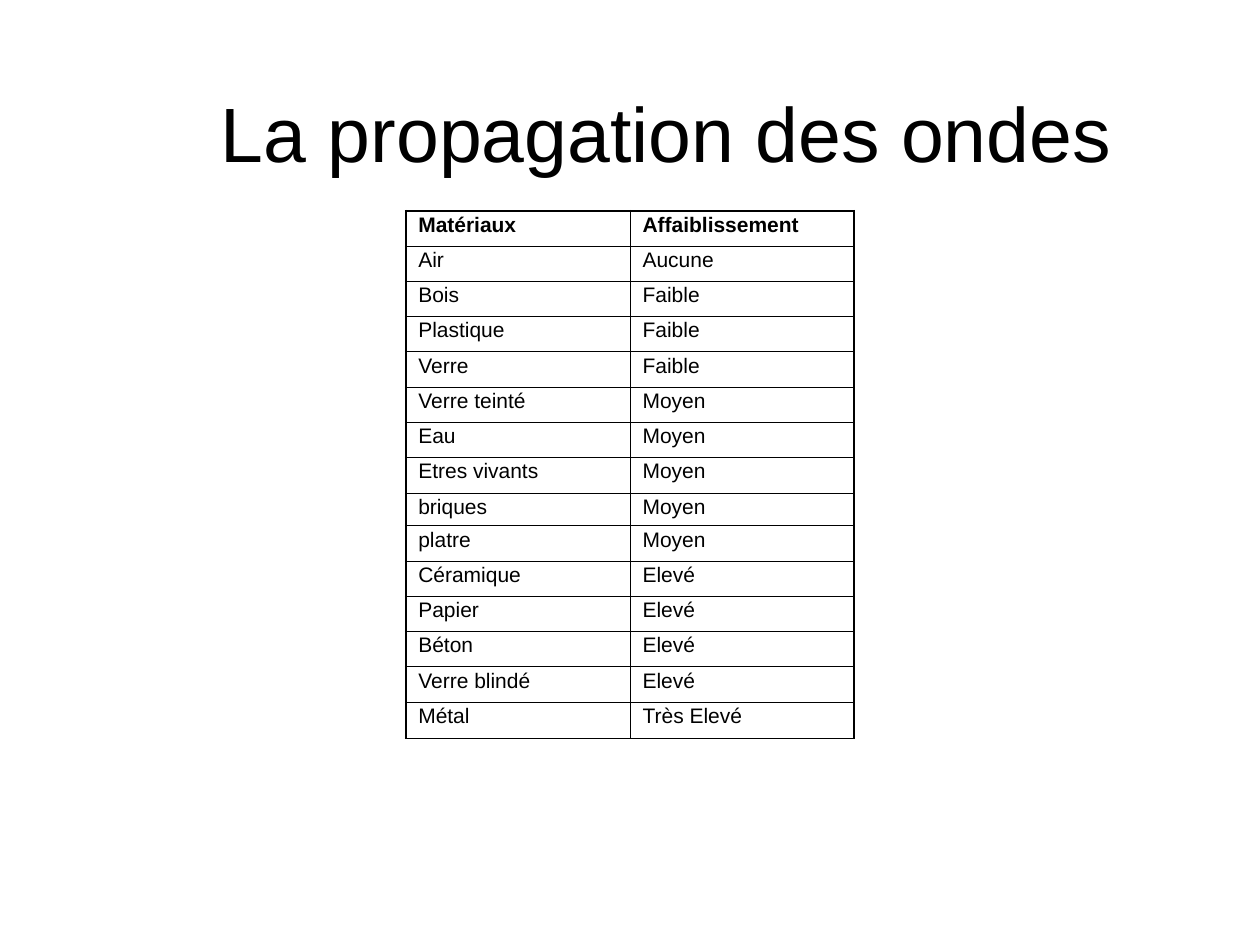
import dataclasses

import lxml.etree
import pptx
import pptx.dml.color
import pptx.enum.text
import pptx.oxml.ns
import pptx.util

WIDE, HIGH = 10, 7.5
FONT = "Arial"
BLACK = "000000"
THIN, THICK = 0.45, 1.08
COL, ROW = 1.78, 0.28
ODD_ROWS = {8: 0.26, 14: 0.29}


@dataclasses.dataclass
class Box:
    """A place given as shares of the slide's size."""
    left: float
    top: float
    width: float
    height: float

    def sizes(self) -> list:
        return [pptx.util.Inches(size) for size in (
            self.left * WIDE, self.top * HIGH,
            self.width * WIDE, self.height * HIGH)]


@dataclasses.dataclass
class Entry:
    name: str
    loss: str


TITLE = Box(0.075, 0.056, 0.925, 0.167)
TABLE = Box(0.322, 0.223, 0.356, 0.555)
ENTRIES = [
    Entry("Matériaux", "Affaiblissement"),
    Entry("Air", "Aucune"),
    Entry("Bois", "Faible"),
    Entry("Plastique", "Faible"),
    Entry("Verre", "Faible"),
    Entry("Verre teinté", "Moyen"),
    Entry("Eau", "Moyen"),
    Entry("Etres vivants", "Moyen"),
    Entry("briques", "Moyen"),
    Entry("platre", "Moyen"),
    Entry("Céramique", "Elevé"),
    Entry("Papier", "Elevé"),
    Entry("Béton", "Elevé"),
    Entry("Verre blindé", "Elevé"),
    Entry("Métal", "Très Elevé"),
]


def paint(color, code: str) -> None:
    color.rgb = pptx.dml.color.RGBColor.from_string(code)


def style(line, size: float, bold: bool = False) -> None:
    line.font.name = FONT
    line.font.size = pptx.util.Pt(size)
    line.font.bold = bold
    paint(line.font.color, BLACK)


def add_title(slide, text: str) -> None:
    frame = slide.shapes.add_textbox(*TITLE.sizes()).text_frame
    frame.word_wrap = True
    frame.vertical_anchor = pptx.enum.text.MSO_ANCHOR.MIDDLE
    line = frame.paragraphs[0]
    line.text = text
    line.alignment = pptx.enum.text.PP_ALIGN.CENTER
    style(line, 44)


def rule(cell, side: str, width: float) -> None:
    """Draw one border of a cell; side is L, R, T or B."""
    name = pptx.oxml.ns.qn
    props = cell._tc.get_or_add_tcPr()
    edge = lxml.etree.SubElement(
        props, name(f"a:ln{side}"), w=str(int(pptx.util.Pt(width))))
    fill = lxml.etree.SubElement(edge, name("a:solidFill"))
    lxml.etree.SubElement(fill, name("a:srgbClr"), val=BLACK)


def fill_cell(cell, text: str, outer: dict[str, bool], bold: bool) -> None:
    for side, thick in outer.items():
        rule(cell, side, THICK if thick else THIN)
    cell.fill.background()
    line = cell.text_frame.paragraphs[0]
    line.text = text
    line.line_spacing = 0.8
    line.space_before = pptx.util.Pt(3)
    style(line, 12, bold)


def add_table(slide, entries: list[Entry]) -> None:
    last = len(entries) - 1
    table = slide.shapes.add_table(len(entries), 2, *TABLE.sizes()).table
    table.first_row = table.horz_banding = False
    for col in table.columns:
        col.width = pptx.util.Inches(COL)
    for r, entry in enumerate(entries):
        table.rows[r].height = pptx.util.Inches(ODD_ROWS.get(r, ROW))
        for c, text in enumerate((entry.name, entry.loss)):
            outer = {"L": c == 0, "R": c == 1, "T": r == 0, "B": r == last}
            fill_cell(table.cell(r, c), text, outer, bold=r == 0)


def main() -> None:
    deck = pptx.Presentation()
    deck.slide_width = pptx.util.Inches(WIDE)
    deck.slide_height = pptx.util.Inches(HIGH)
    slide = deck.slides.add_slide(deck.slide_layouts[6])
    add_title(slide, "La propagation des ondes ")
    add_table(slide, ENTRIES)
    deck.save("out.pptx")


if __name__ == "__main__":
    main()
